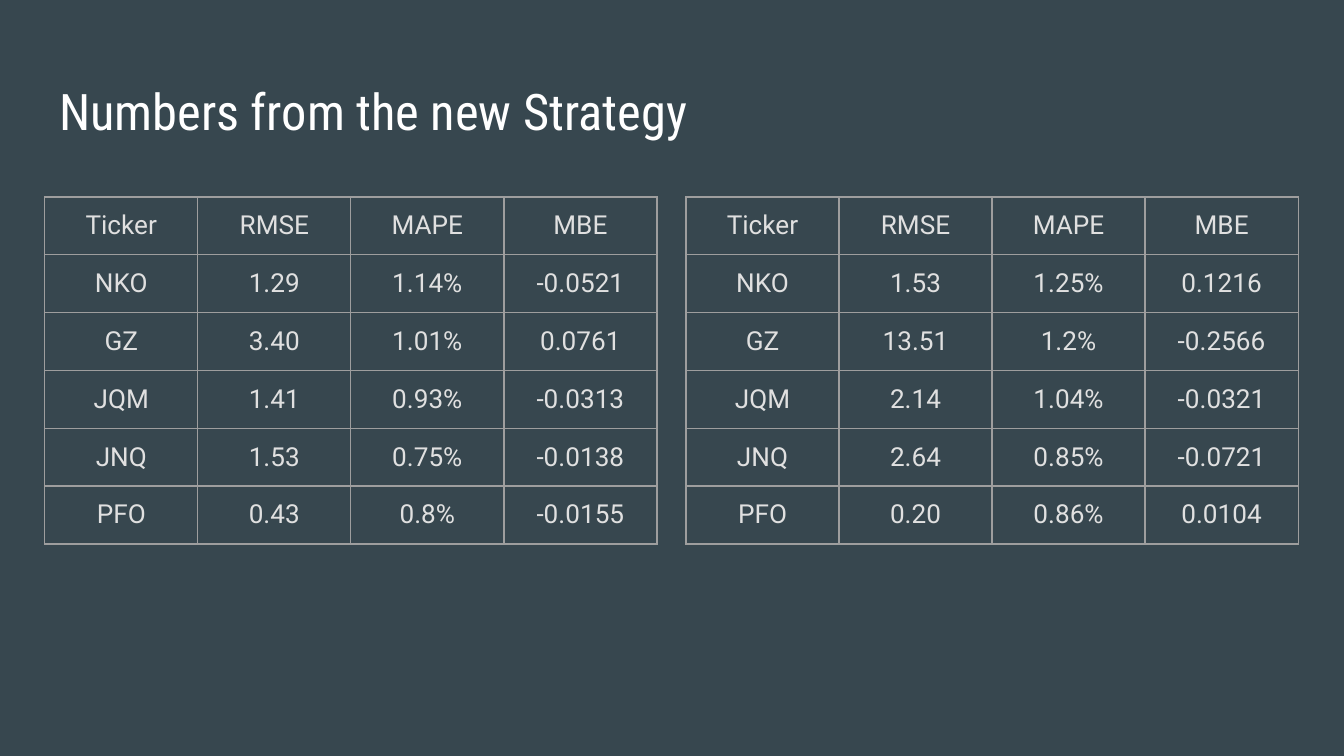
import dataclasses

import lxml.etree
import pptx
import pptx.dml.color
import pptx.enum.text
import pptx.oxml.ns
import pptx.presentation
import pptx.slide
import pptx.table
import pptx.text.text
import pptx.util

Pt = pptx.util.Pt

BACKGROUND = "37474F"
TITLE_COLOR = "FFFFFF"
CELL_COLOR = "E0E0E0"
BORDER_COLOR = "9E9E9E"

TABLE_TOP = 105.5
COLUMN_WIDTH = 82
ROW_HEIGHT = 31
INSET = 7.2
BORDER_WIDTH = 0.75

HEADER = ("Ticker", "RMSE", "MAPE", "MBE")


@dataclasses.dataclass
class MetricsTable:
    left: float
    rows: list[tuple[str, ...]]


METRICS_TABLES = [
    MetricsTable(24, [
        ("NKO", "1.29", "1.14%", "-0.0521"),
        ("GZ", "3.40", "1.01%", "0.0761"),
        ("JQM", "1.41", "0.93%", "-0.0313"),
        ("JNQ", "1.53", "0.75%", "-0.0138"),
        ("PFO", "0.43", "0.8%", "-0.0155"),
    ]),
    MetricsTable(367.5, [
        ("NKO", "1.53", "1.25%", "0.1216"),
        ("GZ", "13.51", "1.2%", "-0.2566"),
        ("JQM", "2.14", "1.04%", "-0.0321"),
        ("JNQ", "2.64", "0.85%", "-0.0721"),
        ("PFO", "0.20", "0.86%", "0.0104"),
    ]),
]


def color(hex_string: str) -> pptx.dml.color.RGBColor:
    return pptx.dml.color.RGBColor.from_string(hex_string)


def format_text(paragraph: pptx.text.text._Paragraph, font_name: str, size: float,
                hex_string: str, alignment: pptx.enum.text.PP_ALIGN) -> None:
    paragraph.alignment = alignment
    for run in paragraph.runs:
        run.font.name = font_name
        run.font.size = Pt(size)
        run.font.color.rgb = color(hex_string)


def set_insets(target) -> None:
    """Give a cell or text frame the same margin on all four sides."""
    for side in ("left", "top", "right", "bottom"):
        setattr(target, f"margin_{side}", Pt(INSET))


def add_borders(cell: pptx.table._Cell) -> None:
    qn = pptx.oxml.ns.qn
    properties = cell._tc.get_or_add_tcPr()
    for index, side in enumerate(("lnL", "lnR", "lnT", "lnB")):
        line = lxml.etree.Element(qn(f"a:{side}"), w=str(Pt(BORDER_WIDTH)))
        fill = lxml.etree.SubElement(line, qn("a:solidFill"))
        lxml.etree.SubElement(fill, qn("a:srgbClr"), val=BORDER_COLOR)
        properties.insert(index, line)


def add_title(slide: pptx.slide.Slide, text: str) -> None:
    title = slide.shapes.title
    title.left, title.top, title.width, title.height = Pt(24.5), Pt(35.5), Pt(671), Pt(45)
    frame = title.text_frame
    frame.text = text
    frame.word_wrap = True
    frame.auto_size = pptx.enum.text.MSO_AUTO_SIZE.NONE
    frame.vertical_anchor = pptx.enum.text.MSO_ANCHOR.TOP
    set_insets(frame)
    format_text(frame.paragraphs[0], "Roboto Condensed", 27, TITLE_COLOR,
                pptx.enum.text.PP_ALIGN.LEFT)


def add_metrics_table(slide: pptx.slide.Slide, metrics: MetricsTable) -> None:
    rows = [HEADER, *metrics.rows]
    frame = slide.shapes.add_table(
        len(rows), len(HEADER), Pt(metrics.left), Pt(TABLE_TOP),
        Pt(COLUMN_WIDTH * len(HEADER)), Pt(ROW_HEIGHT * len(rows)))
    table = frame.table
    table.first_row = False
    table.horz_banding = False
    for row_index, row in enumerate(rows):
        for column_index, text in enumerate(row):
            cell = table.cell(row_index, column_index)
            cell.text_frame.text = text
            set_insets(cell)
            cell.fill.background()
            add_borders(cell)
            format_text(cell.text_frame.paragraphs[0], "Roboto", 14, CELL_COLOR,
                        pptx.enum.text.PP_ALIGN.CENTER)


def build_presentation() -> pptx.presentation.Presentation:
    presentation = pptx.Presentation()
    presentation.slide_width = Pt(720)
    presentation.slide_height = Pt(405)
    title_only_layout = presentation.slide_layouts[5]
    slide = presentation.slides.add_slide(title_only_layout)
    slide.background.fill.solid()
    slide.background.fill.fore_color.rgb = color(BACKGROUND)
    add_title(slide, "Numbers from the new Strategy")
    for metrics in METRICS_TABLES:
        add_metrics_table(slide, metrics)
    return presentation


if __name__ == "__main__":
    build_presentation().save("out.pptx")
